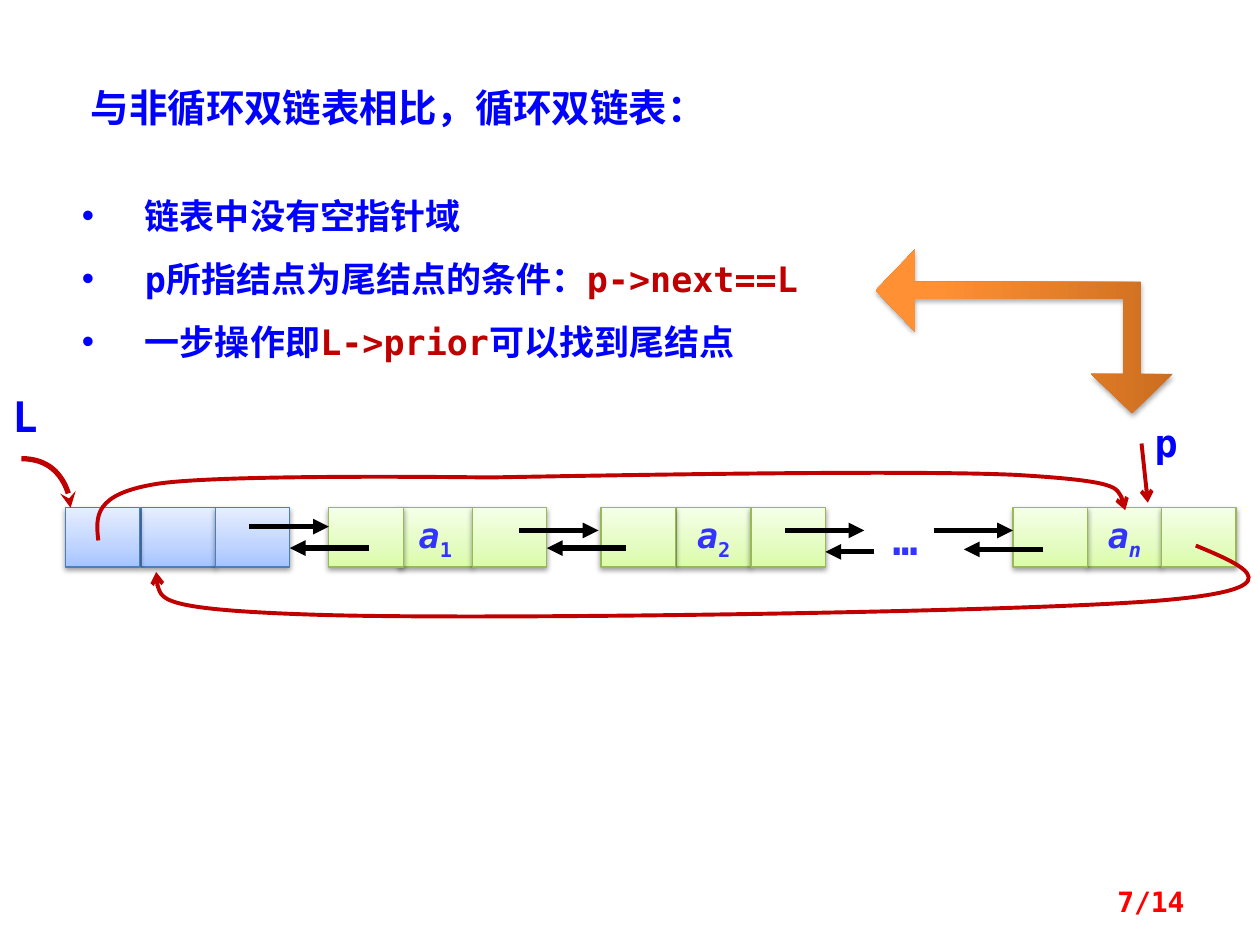
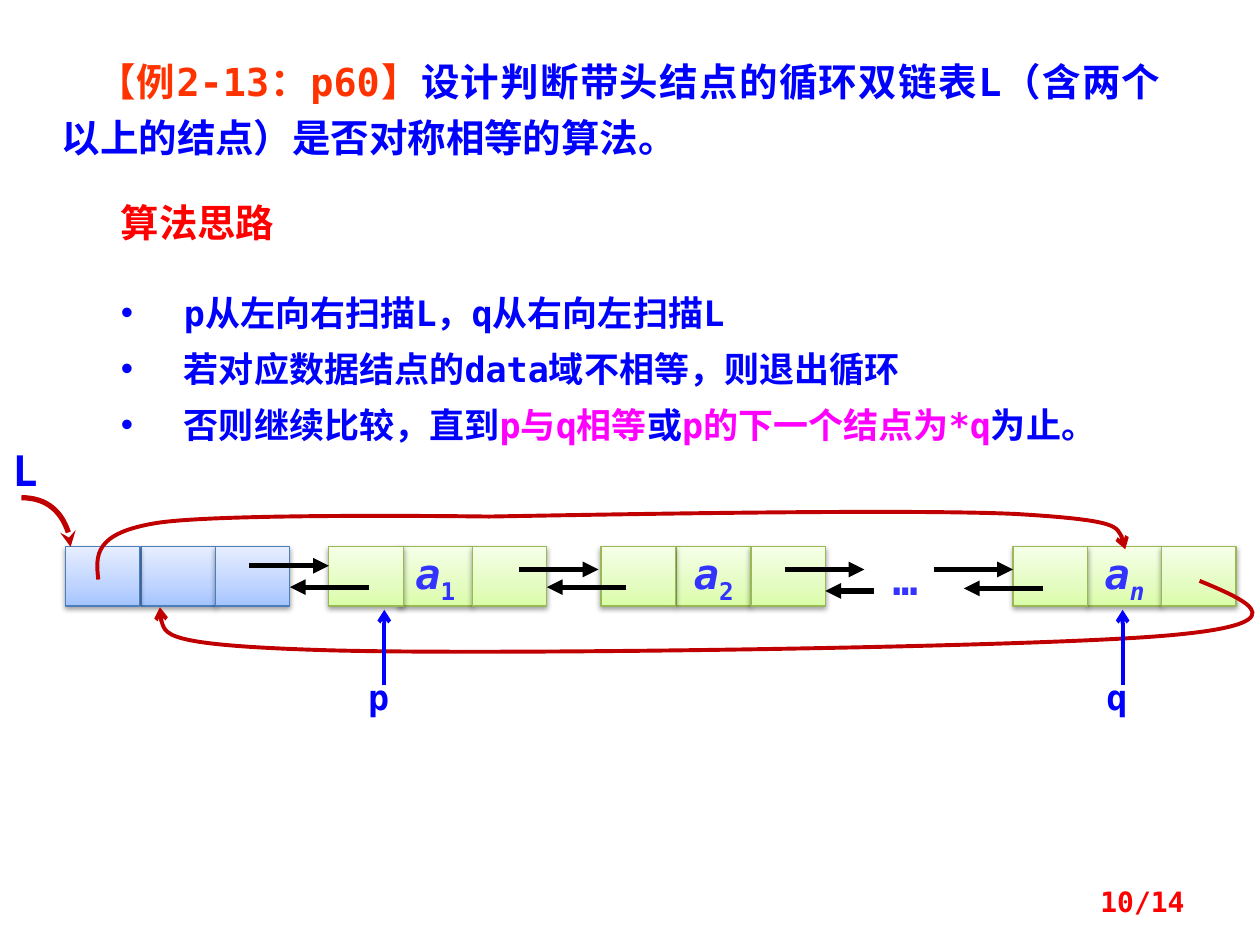
import dataclasses

import lxml.etree
import pptx
import pptx.dml.color
import pptx.enum.shapes
import pptx.enum.text
import pptx.oxml.ns
import pptx.util

PX = 9144  # EMU per px, 100 px to the inch
qn = pptx.oxml.ns.qn
SHAPES = pptx.enum.shapes.MSO_SHAPE
ALIGN = pptx.enum.text.PP_ALIGN
ANCHOR = pptx.enum.text.MSO_ANCHOR


@dataclasses.dataclass(frozen=True)
class Theme:
    font: str = "DejaVu Sans Mono"
    blue: str = "0000FF"
    data: str = "3333FF"
    code: str = "C00000"
    example: str = "FF3300"
    red: str = "FF0000"
    pink: str = "FF00FF"
    black: str = "000000"
    head_line: str = "4B7EBC"
    node_line: str = "98B955"
    head_fill: tuple = ((0, "A4C4FF"), (35, "BFD4FF"), (100, "E6EEFF"))
    node_fill: tuple = ((0, "DAFDA7"), (35, "E4FCC2"), (100, "F5FFE7"))
    arrow_fill: tuple = ((0, "CC6E20"), (80, "FF9034"), (100, "FF9136"))
    title_size: int = 22
    body_size: int = 20
    label_size: int = 24
    page_size: int = 16


T = Theme()

# Each paragraph is a list of (text, colour) runs.
COMPARE_TITLE = [[("与非循环双链表相比，循环双链表：", T.blue)]]
COMPARE_POINTS = [
    [("链表中没有空指针域", T.blue)],
    [("p所指结点为尾结点的条件：", T.blue), ("p->next==L", T.code)],
    [("一步操作即", T.blue), ("L->prior", T.code), ("可以找到尾结点", T.blue)],
]
EXAMPLE_TITLE = [[
    ("【例2-13：p60】", T.example),
    ("设计判断带头结点的循环双链表L（含两个以上的结点）是否对称相等的算法。", T.blue),
]]
EXAMPLE_POINTS = [
    [("p从左向右扫描L，q从右向左扫描L", T.blue)],
    [("若对应数据结点的data域不相等，则退出循环", T.blue)],
    [("否则继续比较，直到", T.blue), ("p与q相等", T.pink), ("或", T.blue),
     ("p的下一个结点为*q", T.pink), ("为止。", T.blue)],
]
POINTERS = [("p", 305), ("q", 891)]  # name, arrow x

# Linked list: y values count from the top of the cells.
CELL_W, CELL_H = 59, 47
NODES = [  # left of first cell, left of middle cell, subscript, italic subscript
    (52, 112, None, False),
    (261, 316, "1", False),
    (477, 537, "2", False),
    (804, 863, "n", True),
]
LINKS = [  # from x, to x, y
    (198, 261, 15), (412, 475, 18), (623, 686, 18), (741, 804, 18),
    (293, 230, 32), (497, 434, 32), (694, 655, 35), (828, 765, 33),
]
HEAD_CURVE = [(17, -39), (38, -39), (56, -21), (56, 0)]
PRIOR_CURVE = [(78, 26), (76, 7), (74, -11), (125, -19), (177, -27), (388, -24),
               (388, -24), (501, -26), (723, -30), (807, -26), (891, -21),
               (892, -10), (893, 2)]
NEXT_CURVE = [(949, 30), (990, 47), (1031, 65), (916, 74), (800, 83), (386, 89),
              (254, 85), (122, 81), (123, 66), (124, 51)]


def rgb(color):
    return pptx.dml.color.RGBColor.from_string(color)


def box(*px):
    return [v * PX for v in px]


def write(tf, paragraphs, size=T.label_size, align=ALIGN.LEFT, spacing=None,
          anchor=ANCHOR.TOP, wrap=True, hanging=None, first_indent=None):
    tf.word_wrap = wrap
    tf.auto_size = pptx.enum.text.MSO_AUTO_SIZE.NONE
    tf.vertical_anchor = anchor
    for i, runs in enumerate(paragraphs):
        p = tf.add_paragraph() if i else tf.paragraphs[0]
        p.alignment = align
        p.space_before = pptx.util.Pt(0)
        if spacing:
            p.line_spacing = spacing
        pPr = p._p.get_or_add_pPr()
        if hanging:
            pPr.set("marL", str(hanging * PX))
            pPr.set("indent", str(-hanging * PX))
        if first_indent:
            pPr.set("indent", str(first_indent * PX))
        for text, color in runs:
            r = p.add_run()
            r.text = text
            r.font.name = T.font
            r.font.size = pptx.util.Pt(size)
            r.font.bold = True
            r.font.color.rgb = rgb(color)
    return tf


def label(s, at, text, color=T.blue, **fmt):
    write(s.shapes.add_textbox(*box(*at)).text_frame, [[(text, color)]], **fmt)


def fill_placeholder(sp, at, paragraphs, **fmt):
    sp.left, sp.top, sp.width, sp.height = box(*at)
    write(sp.text_frame, paragraphs, **fmt)


def set_gradient(sp, stops):
    sp.fill.gradient()
    sp.fill.gradient_angle = 90
    gs_list = sp._element.spPr.find(qn("a:gradFill")).find(qn("a:gsLst"))
    for gs in list(gs_list):
        gs_list.remove(gs)
    for percent, color in stops:
        gs = lxml.etree.SubElement(gs_list, qn("a:gs"), pos=str(percent * 1000))
        lxml.etree.SubElement(gs, qn("a:srgbClr"), val=color)


def set_shadow(sp, opacity):
    sp.shadow.inherit = False
    effects = sp._element.spPr.find(qn("a:effectLst"))
    shadow = lxml.etree.SubElement(
        effects, qn("a:outerShdw"), blurRad="39370", dist="20320",
        dir="5400000", rotWithShape="0")
    color = lxml.etree.SubElement(shadow, qn("a:srgbClr"), val=T.black)
    lxml.etree.SubElement(color, qn("a:alpha"), val=str(opacity * 1000))


def style_line(sp, color, width, head):
    """Colour a line, put an arrowhead at its end and drop its shadow."""
    sp.line.color.rgb = rgb(color)
    sp.line.width = pptx.util.Pt(width)
    spPr = sp._element.spPr
    lxml.etree.SubElement(spPr.find(qn("a:ln")), qn("a:tailEnd"), type=head)
    lxml.etree.SubElement(spPr, qn("a:effectLst"))


def arrow(s, x1, y1, x2, y2, color=T.black, width=3, head="triangle"):
    line = s.shapes.add_connector(
        pptx.enum.shapes.MSO_CONNECTOR.STRAIGHT, *box(x1, y1, x2, y2))
    style_line(line, color, width, head)


def curve(s, points, dx=0, dy=0, width=2.25, head="arrow"):
    """Draw a chain of cubic curves: a start, then three points for each curve."""
    start, *rest = [(x + dx, y + dy) for x, y in points]
    builder = s.shapes.build_freeform(*start, scale=PX)
    builder.add_line_segments(rest, close=False)
    sp = builder.convert_to_shape()
    outline = next(sp._element.spPr.iter(qn("a:path")))
    segments = outline.findall(qn("a:lnTo"))
    for i, segment in enumerate(segments):
        if i % 3 == 0:
            bezier = lxml.etree.SubElement(outline, qn("a:cubicBezTo"))
        bezier.append(segment[0])
        outline.remove(segment)
    sp.fill.background()
    style_line(sp, T.code, width, head)


def add_cell(s, left, top, is_head):
    sp = s.shapes.add_shape(SHAPES.RECTANGLE, *box(left, top, CELL_W, CELL_H))
    set_gradient(sp, T.head_fill if is_head else T.node_fill)
    sp.line.color.rgb = rgb(T.head_line if is_head else T.node_line)
    sp.line.width = pptx.util.Pt(0.75)
    set_shadow(sp, 38)
    return sp


def draw_list(s, top, data_size, label_top, next_shift=(0, 0)):
    """Draw the circular doubly linked list with its cells at the given top."""
    for first, middle, sub, italic_sub in NODES:
        sp = add_cell(s, middle, top, not sub)
        add_cell(s, middle + CELL_W, top, not sub)
        add_cell(s, first, top, not sub)
        if sub:
            tf = write(sp.text_frame, [[("a", T.data), (sub, T.data)]], size=data_size,
                       align=ALIGN.CENTER, anchor=ANCHOR.MIDDLE, wrap=False)
            name, index = tf.paragraphs[0].runs
            name.font.italic = True
            index.font.italic = italic_sub
            index._r.get_or_add_rPr().set("baseline", "-25000")
    label(s, (687, top, 63, 50), "…", T.data, align=ALIGN.CENTER)
    label(s, (0, label_top, 47, 50), "L")
    for x1, x2, y in LINKS:
        arrow(s, x1, top + y, x2, top + y)
    curve(s, HEAD_CURVE, dy=top, width=3, head="stealth")
    curve(s, PRIOR_CURVE, dy=top)
    dx, dy = next_shift
    curve(s, NEXT_CURVE, dx=dx, dy=top + dy)


def new_slide(prs, page):
    s = prs.slides.add_slide(prs.slide_layouts[1])
    label(s, (717, 695, 233, 40), page, T.red, size=T.page_size,
          align=ALIGN.RIGHT, anchor=ANCHOR.MIDDLE)
    return s, *s.placeholders


def compare_slide(prs):
    s, title, body = new_slide(prs, "7/14")
    fill_placeholder(title, (62, 62, 594, 47), COMPARE_TITLE, size=T.title_size)
    fill_placeholder(body, (55, 133, 695, 162), COMPARE_POINTS, size=T.body_size,
                     spacing=1.5, hanging=50)
    draw_list(s, 403, T.body_size, 305)
    arrow(s, 906, 352, 911, 399, T.code, 2.25, "arrow")
    label(s, (906, 328, 39, 47), "p", size=T.title_size, align=ALIGN.CENTER)
    sp = s.shapes.add_shape(SHAPES.LEFT_UP_ARROW, *box(748, 145, 130, 236))
    sp.rotation = 270
    for i, value in enumerate((0.104, 0.25, 0.24)):
        sp.adjustments[i] = value
    set_gradient(sp, T.arrow_fill)
    sp.line.fill.background()
    set_shadow(sp, 35)


def example_slide(prs):
    s, title, body = new_slide(prs, "10/14")
    fill_placeholder(title, (39, 34, 892, 99), EXAMPLE_TITLE, size=T.title_size,
                     align=ALIGN.JUSTIFY, spacing=1.2, first_indent=28)
    label(s, (86, 153, 203, 47), "算法思路", T.red, size=T.title_size)
    fill_placeholder(body, (86, 215, 883, 145), EXAMPLE_POINTS, size=T.body_size,
                     spacing=pptx.util.Pt(32), hanging=50)
    draw_list(s, 434, T.label_size, 348, next_shift=(3, -3))
    for name, x in POINTERS:
        arrow(s, x, 544, x, 484, T.blue, 2.25, "arrow")
        label(s, (x - 32, 531, 55, 44), name, size=T.body_size, align=ALIGN.CENTER)


def main():
    prs = pptx.Presentation()
    prs.slide_width, prs.slide_height = box(1000, 750)
    compare_slide(prs)
    example_slide(prs)
    prs.save("out.pptx")


if __name__ == "__main__":
    main()
